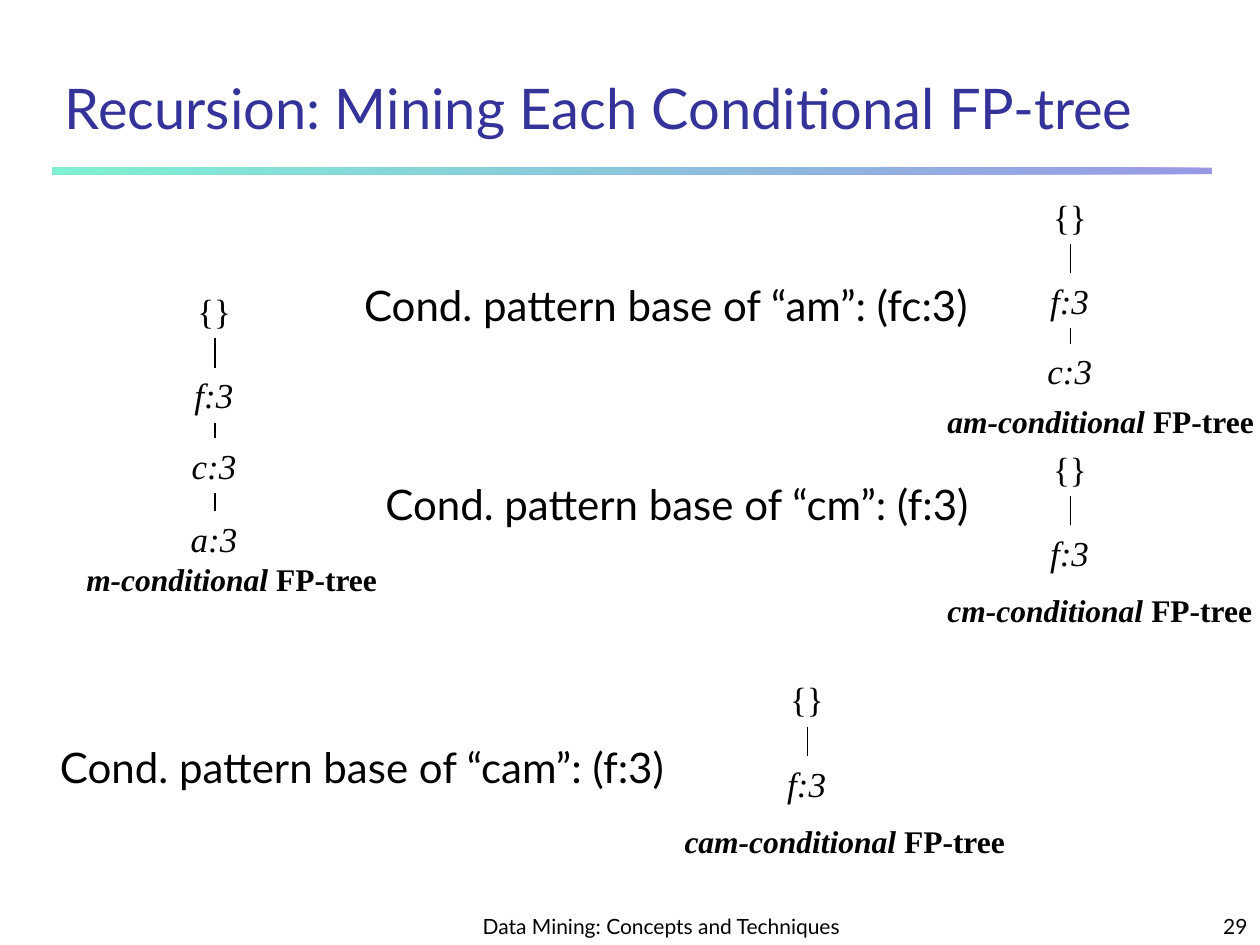
import pptx
import pptx.dml.color
import pptx.enum.shapes
import pptx.enum.text
import pptx.util
from dataclasses import dataclass
from lxml import etree

Cm = pptx.util.Cm
ANCHOR = pptx.enum.text.MSO_ANCHOR
ALIGN = pptx.enum.text.PP_ALIGN
NS = "{http://schemas.openxmlformats.org/drawingml/2006/main}"


def rgb(value):
    return pptx.dml.color.RGBColor.from_string(value)


@dataclass(frozen=True)
class Theme:
    ink: str = "000000"
    title: str = "333399"
    rule: tuple = ("3333CC", "00E4A8")
    sans: str = "Lato"
    serif: str = "Times New Roman"
    title_size: int = 32
    base_size: int = 24
    node_size: int = 20
    caption_size: int = 18
    footer_size: int = 12


THEME = Theme()
NODE_WIDTHS = {"{}": 1.2, "f:3": 1.32, "c:3": 1.43, "a:3": 1.47}
NODE_TOPS = (0, 1.7, 3.12, 4.6)
NODE_HEIGHT = 1.11
CAPTION_HEIGHT = 1.02


def add_text(shapes, box, runs, size, font=THEME.sans, color=THEME.ink,
             wrap=False, anchor=ANCHOR.TOP, align=None):
    sp = shapes.add_textbox(*map(Cm, box))
    tf = sp.text_frame
    fit = pptx.enum.text.MSO_AUTO_SIZE
    frame = {"word_wrap": wrap, "vertical_anchor": anchor,
             "auto_size": fit.NONE if wrap else fit.SHAPE_TO_FIT_TEXT}
    for name, value in frame.items():
        setattr(tf, name, value)
    p = tf.paragraphs[0]
    p.alignment = align
    for text, style in runs:
        r = p.add_run()
        r.text = text
        r.font.color.rgb = rgb(color)
        values = {"size": pptx.util.Pt(size), "name": font, **style}
        for name, value in values.items():
            setattr(r.font, name, value)
    return sp


def add_branch(shapes, parent, child):
    line = shapes.add_connector(pptx.enum.shapes.MSO_CONNECTOR.STRAIGHT, 0, 0, 0, 0)
    line.begin_connect(parent, 2)
    line.end_connect(child, 0)
    line.line.color.rgb = rgb(THEME.ink)
    line.line.width = pptx.util.Pt(1)
    etree.SubElement(line._element.spPr, NS + "effectLst")


def add_header(slide, box, title):
    left, top, width, height = box
    add_text(slide.shapes, (left, top, width, 1.9), [(title, {})],
             THEME.title_size, color=THEME.title, wrap=True, anchor=ANCHOR.BOTTOM)
    sp = slide.shapes.add_shape(pptx.enum.shapes.MSO_SHAPE.RECTANGLE, Cm(left),
                                Cm(top + height - 0.13), Cm(23.37), Cm(0.13))
    sp.shadow.inherit = False
    sp.line.fill.background()
    sp.fill.gradient()
    sp.fill.gradient_angle = 180
    for stop, color in zip(sp.fill.gradient_stops, THEME.rule):
        stop.color.rgb = rgb(color)
    for clr in sp._element.spPr.iter(NS + "srgbClr"):
        etree.SubElement(clr, NS + "alpha", val="50000")


def add_tree(slide, box, axis, pattern, items):
    left, top, width, height = box
    shapes = slide.shapes.add_group_shape().shapes
    nodes = []
    for label, offset in zip(["{}", *items], NODE_TOPS):
        node_width = NODE_WIDTHS[label]
        node_box = (left + axis - node_width / 2, top + offset, node_width, NODE_HEIGHT)
        style = {"italic": label != "{}"}
        nodes.append(add_text(shapes, node_box, [(label, style)],
                              THEME.node_size, THEME.serif))
    for parent, child in zip(nodes, nodes[1:]):
        add_branch(shapes, parent, child)
    add_text(shapes, (left, top + height - CAPTION_HEIGHT, width, CAPTION_HEIGHT),
             [(f"{pattern}-conditional ", {"bold": True, "italic": True}),
              ("FP-tree", {"bold": True, "italic": False})],
             THEME.caption_size, THEME.serif)


def add_pattern_base(slide, box, pattern, base):
    add_text(slide.shapes, box,
             [(f"Cond. pattern base of “{pattern}”: ({base})", {})], THEME.base_size)


def add_footer(slide, box, text, number):
    left, top, width, height = box
    parts = [(left, 8.05, text, ALIGN.CENTER),
             (left + width - 5.28, 5.28, number, ALIGN.RIGHT)]
    for x, part_width, label, align in parts:
        add_text(slide.shapes, (x, top, part_width, height), [(label, {})],
                 THEME.footer_size, wrap=True, anchor=ANCHOR.BOTTOM, align=align)


def main():
    prs = pptx.Presentation()
    prs.slide_width, prs.slide_height = Cm(25.4), Cm(19.05)
    slide = prs.slides.add_slide(prs.slide_layouts[6])
    add_header(slide, (1.06, 1.06, 23.72, 2.45),
               "Recursion: Mining Each Conditional FP-tree")
    trees = [
        ((1.49, 5.71, 6.38, 6.47), 2.84, "m", ["f:3", "c:3", "a:3"]),
        ((18.85, 3.81, 6.68, 5.19), 2.73, "am", ["f:3", "c:3"]),
        ((18.85, 8.89, 6.65, 3.92), 2.73, "cm", ["f:3"]),
        ((13.55, 13.54, 6.99, 3.92), 2.73, "cam", ["f:3"]),
    ]
    for tree in trees:
        add_tree(slide, *tree)
    bases = [
        ((7.09, 5.51, 13.59, 1.27), "am", "fc:3"),
        ((7.52, 9.53, 13.11, 1.27), "cm", "f:3"),
        ((0.96, 14.82, 13.59, 1.27), "cam", "f:3"),
    ]
    for base in bases:
        add_pattern_base(slide, *base)
    add_footer(slide, (9.31, 17.98, 16.09, 1.07),
               "Data Mining: Concepts and Techniques", "29")
    prs.save("out.pptx")


if __name__ == "__main__":
    main()
